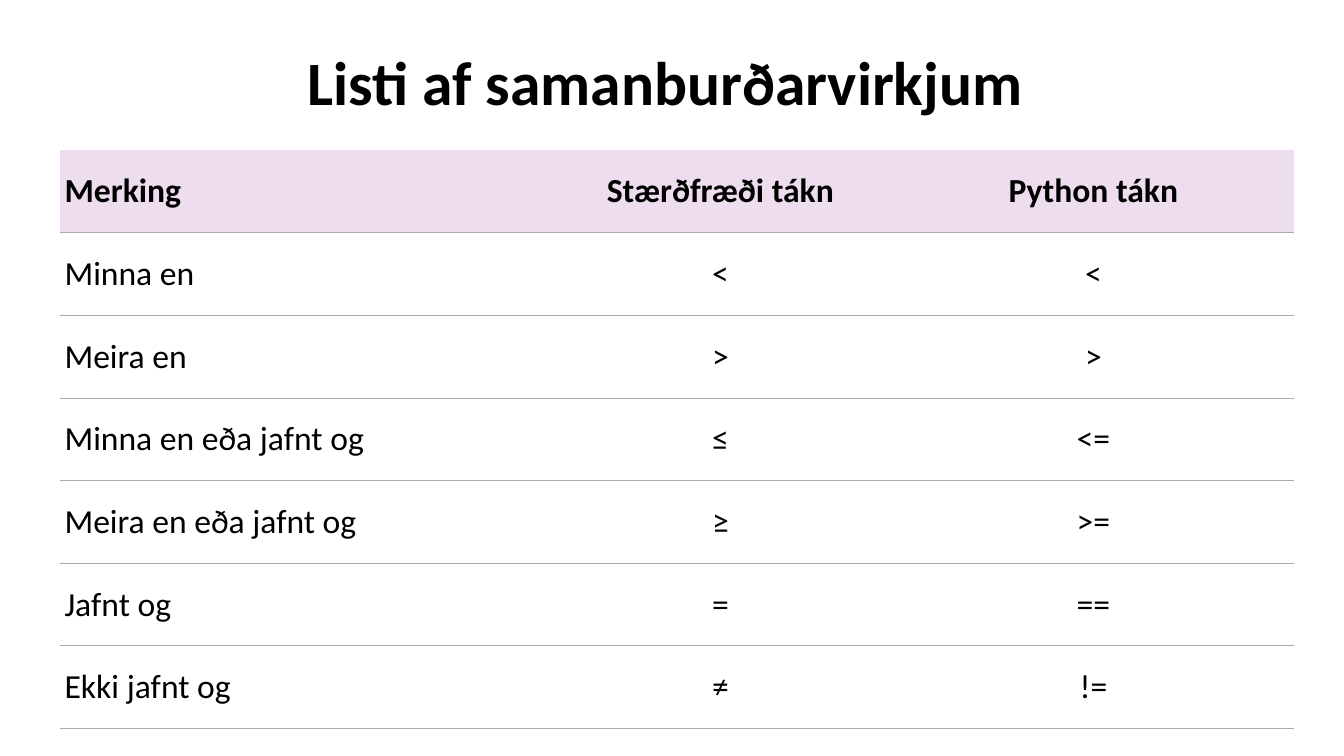
from lxml.etree import SubElement
from pptx import Presentation
from pptx.dml.color import RGBColor
from pptx.enum.text import MSO_ANCHOR, PP_ALIGN
from pptx.oxml.ns import qn
from pptx.util import Inches, Pt

BLACK = RGBColor(0x00, 0x00, 0x00)
WHITE = RGBColor(0xFF, 0xFF, 0xFF)
LILAC = RGBColor(0xEE, 0xDD, 0xEE)
GREY = RGBColor(0xAA, 0xAA, 0xAA)
FONT = "Calibri"

TITLE = "Listi af samanburðarvirkjum "
OPERATORS = [
    ("Merking", "Stærðfræði tákn", "Python tákn"),
    ("Minna en", "<", "<"),
    ("Meira en", ">", ">"),
    ("Minna en eða jafnt og", "≤", "<="),
    ("Meira en eða jafnt og", "≥", ">="),
    ("Jafnt og", "=", "=="),
    ("Ekki jafnt og ", "≠", "!="),
]
COLUMN_WIDTHS = (4.84, 3.46, 3.94)
CELL_FORMAT = {
    "vertical_anchor": MSO_ANCHOR.MIDDLE,
    "margin_left": Inches(0.05),
    "margin_right": Inches(0.08),
    "margin_top": Inches(0.01),
    "margin_bottom": Inches(0.01),
}


def set_attributes(target, values):
    for name, value in values.items():
        setattr(target, name, value)


def write(paragraph, text, size, bold, alignment):
    paragraph.alignment = alignment
    run = paragraph.add_run()
    run.text = text
    set_attributes(run.font, {"name": FONT, "size": Pt(size), "bold": bold})
    run.font.color.rgb = BLACK


def set_borders(cell, colors):
    """Draw the given sides of a cell; None leaves a side without a line."""
    properties = cell._tc.get_or_add_tcPr()
    for position, side in enumerate(("lnL", "lnR", "lnT", "lnB")):
        color = colors.get(side)
        line = SubElement(properties, qn(f"a:{side}"), w=str(Pt(0.75)))
        if color is None:
            SubElement(line, qn("a:noFill"))
        else:
            fill = SubElement(line, qn("a:solidFill"))
            SubElement(fill, qn("a:srgbClr"), val=str(color))
        # Borders must come before the cell fill
        properties.insert(position, line)


def add_title(slide, left, top, width, height):
    box = slide.shapes.add_textbox(left, top, width, height)
    frame = box.text_frame
    set_attributes(frame, {"word_wrap": True, "vertical_anchor": MSO_ANCHOR.MIDDLE})
    paragraph = frame.paragraphs[0]
    paragraph.line_spacing = 0.9
    write(paragraph, TITLE, 44, True, PP_ALIGN.CENTER)


def add_operator_table(slide, left, top, width, height):
    frame = slide.shapes.add_table(
        len(OPERATORS), len(COLUMN_WIDTHS), left, top, width, height
    )
    table = frame.table
    set_attributes(table, {"first_row": False, "horz_banding": False})
    for column, share in zip(table.columns, COLUMN_WIDTHS):
        column.width = int(width * share / sum(COLUMN_WIDTHS))

    for row_index, texts in enumerate(OPERATORS):
        header = row_index == 0
        for column_index, text in enumerate(texts):
            cell = table.cell(row_index, column_index)
            set_attributes(cell, CELL_FORMAT)
            cell.fill.solid()
            cell.fill.fore_color.rgb = LILAC if header else WHITE
            set_borders(cell, {"lnT": None if header else GREY, "lnB": GREY})
            alignment = PP_ALIGN.CENTER if column_index else PP_ALIGN.LEFT
            write(cell.text_frame.paragraphs[0], text, 24, header, alignment)


presentation = Presentation()
presentation.slide_width = Inches(13.33)
presentation.slide_height = Inches(7.5)
slide = presentation.slides.add_slide(presentation.slide_layouts[6])

add_title(slide, Inches(0.92), Inches(0.4), Inches(11.5), Inches(0.9))
add_operator_table(slide, Inches(0.59), Inches(1.49), Inches(12.24), Inches(5.74))

presentation.save("out.pptx")
